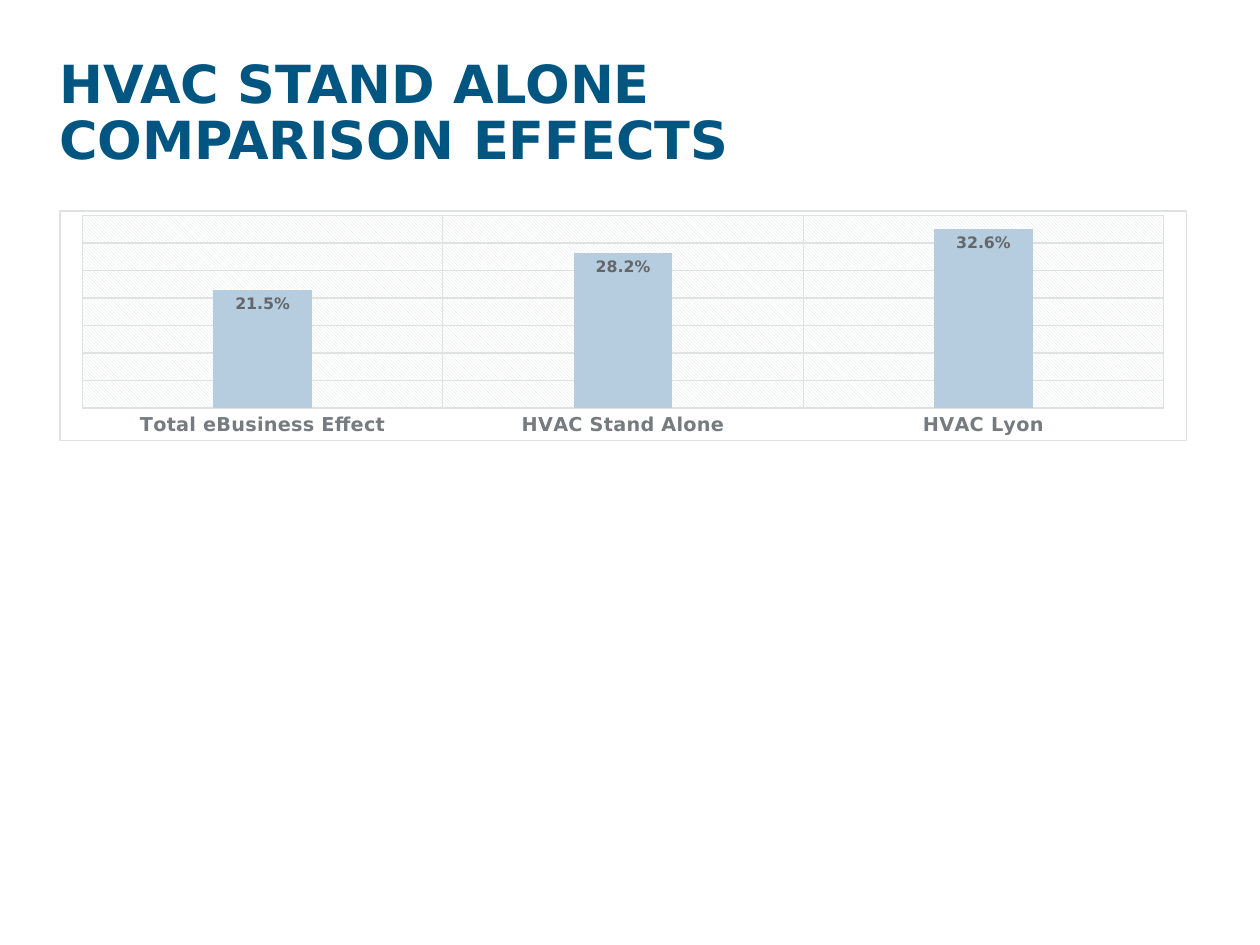
"""Build the HVAC stand alone comparison slide."""
import pptx
import pptx.chart.data
import pptx.dml.color
import pptx.enum.chart
import pptx.enum.text
import pptx.oxml
import pptx.util

Pt = pptx.util.Pt
THEME = {
    "font": "DejaVu Sans",
    "title": ("005581", 30, True),
    "chart": ("323436", 10, False),
    "category": ("767B80", 11, True),
    "label": ("63676B", 9, True),
    "bar": "B6CDDF",
    "rule": "DFE1E2",
    "paper": "FFFFFF",
    "rule_width": 0.75,
}
NAMESPACES = (
    'xmlns:c="http://schemas.openxmlformats.org/drawingml/2006/chart" '
    'xmlns:a="http://schemas.openxmlformats.org/drawingml/2006/main"'
)


def style_font(font, role):
    color, size, bold = THEME[role]
    for name, value in {"name": THEME["font"], "size": Pt(size), "bold": bold}.items():
        setattr(font, name, value)
    font.color.rgb = pptx.dml.color.RGBColor.from_string(color)


def color_xml(color):
    return f'<a:srgbClr val="{color}"/>'


presentation = pptx.Presentation()
presentation.slide_width, presentation.slide_height = Pt(720), Pt(540)
slide = presentation.slides.add_slide(presentation.slide_layouts[6])

title = slide.shapes.add_textbox(Pt(33.84), Pt(33.12), Pt(446.4), Pt(44.64))
frame_format = dict.fromkeys(("margin_left", "margin_top", "margin_right", "margin_bottom"), 0)
frame_format.update(word_wrap=True, vertical_anchor=pptx.enum.text.MSO_ANCHOR.TOP)
for name, value in frame_format.items():
    setattr(title.text_frame, name, value)
paragraph = title.text_frame.paragraphs[0]
paragraph.line_spacing = 0.9
run = paragraph.add_run()
run.text = "HVAC STAND ALONE COMPARISON EFFECTS"
style_font(run.font, "title")

chart_data = pptx.chart.data.CategoryChartData(number_format="0.0%")
chart_data.categories = ["Total eBusiness Effect", "HVAC Stand Alone", "HVAC Lyon"]
chart_data.add_series("Series 1", (0.215, 0.282, 0.326))
chart = slide.shapes.add_chart(
    pptx.enum.chart.XL_CHART_TYPE.COLUMN_CLUSTERED,
    Pt(33.84), Pt(120.24), Pt(644.4), Pt(131.76), chart_data,
).chart
chart.has_legend = False
chart.has_title = False
style_font(chart.font, "chart")

plot = chart.plots[0]
for name, value in {"gap_width": 267, "overlap": -43, "vary_by_categories": False,
                    "has_data_labels": True}.items():
    setattr(plot, name, value)
bar_fill = plot.series[0].format.fill
bar_fill.solid()
bar_fill.fore_color.rgb = pptx.dml.color.RGBColor.from_string(THEME["bar"])
label_format = {
    "show_value": True,
    "number_format": "0.0%",
    "number_format_is_linked": False,
    "position": pptx.enum.chart.XL_LABEL_POSITION.INSIDE_END,
}
for name, value in label_format.items():
    setattr(plot.data_labels, name, value)
style_font(plot.data_labels.font, "label")

category_axis, value_axis = chart.category_axis, chart.value_axis
for name, value in {"minimum_scale": 0, "maximum_scale": 0.35, "major_unit": 0.05,
                    "visible": False}.items():
    setattr(value_axis, name, value)
category_axis.major_tick_mark = pptx.enum.chart.XL_TICK_MARK.NONE
style_font(category_axis.tick_labels.font, "category")
for axis in (category_axis, value_axis):
    axis.has_major_gridlines = True
for part in (category_axis, category_axis.major_gridlines, value_axis.major_gridlines):
    part.format.line.width = Pt(THEME["rule_width"])
    part.format.line.color.rgb = pptx.dml.color.RGBColor.from_string(THEME["rule"])

chart_element = chart._chartSpace.chart
plot_area = chart_element.plotArea
for layout in plot_area.xpath("c:layout"):
    plot_area.remove(layout)
placement = "".join(
    f'<c:{name} val="{value}"/>'
    for name, value in {"layoutTarget": "inner", "xMode": "edge", "yMode": "edge",
                        "x": 0.02, "y": 0.02, "w": 0.96, "h": 0.84}.items()
)
plot_area.insert(0, pptx.oxml.parse_xml(
    f"<c:layout {NAMESPACES}><c:manualLayout>{placement}</c:manualLayout></c:layout>"))
plot_area.append(pptx.oxml.parse_xml(
    f'<c:spPr {NAMESPACES}><a:pattFill prst="ltDnDiag">'
    f'<a:fgClr>{color_xml(THEME["rule"])}</a:fgClr>'
    f'<a:bgClr>{color_xml(THEME["paper"])}</a:bgClr></a:pattFill>'
    "<a:ln><a:noFill/></a:ln></c:spPr>"))
chart_element.addnext(pptx.oxml.parse_xml(
    f'<c:spPr {NAMESPACES}><a:solidFill>{color_xml(THEME["paper"])}</a:solidFill>'
    f'<a:ln w="{Pt(THEME["rule_width"])}"><a:solidFill>{color_xml(THEME["rule"])}'
    "</a:solidFill></a:ln></c:spPr>"))

presentation.save("out.pptx")
